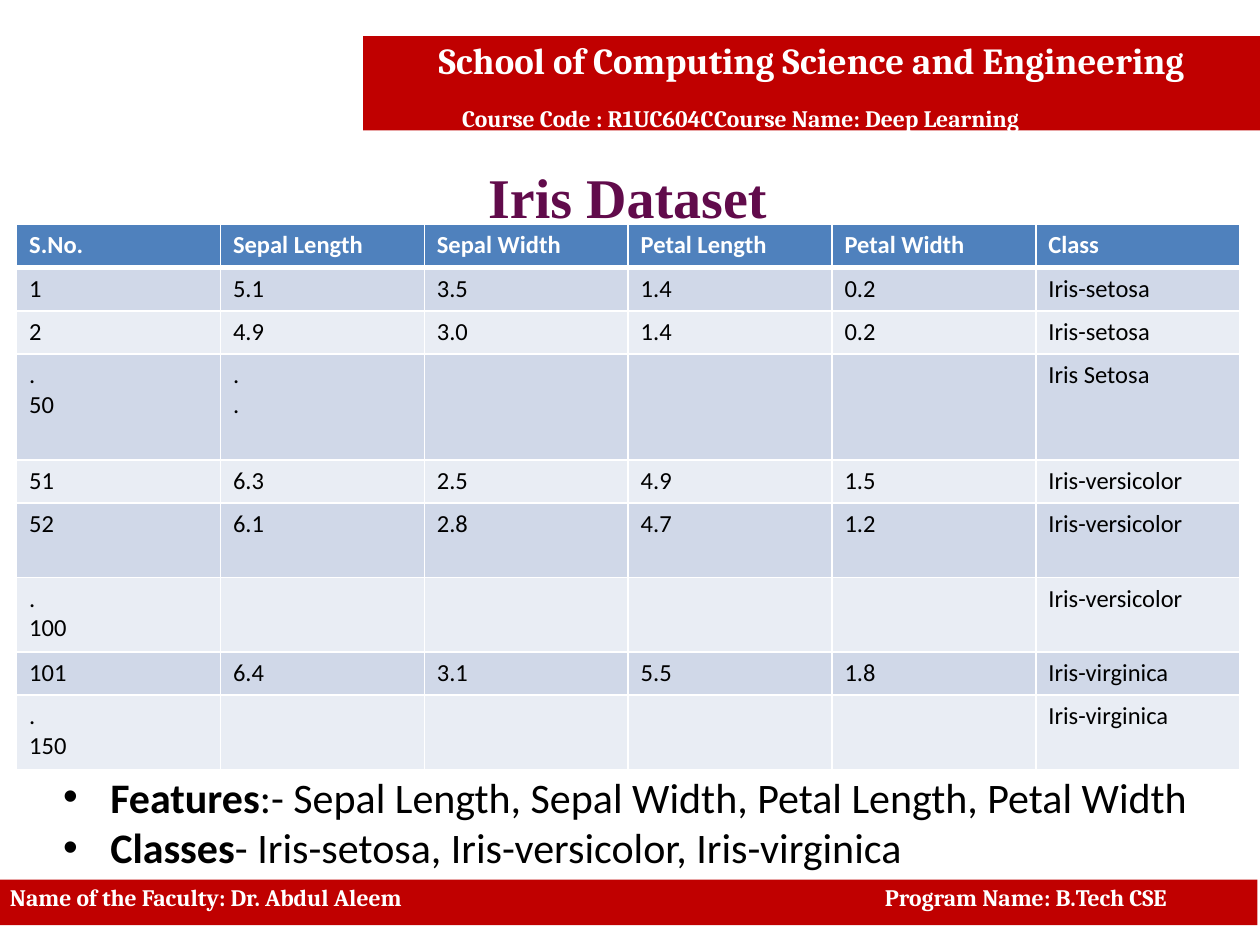
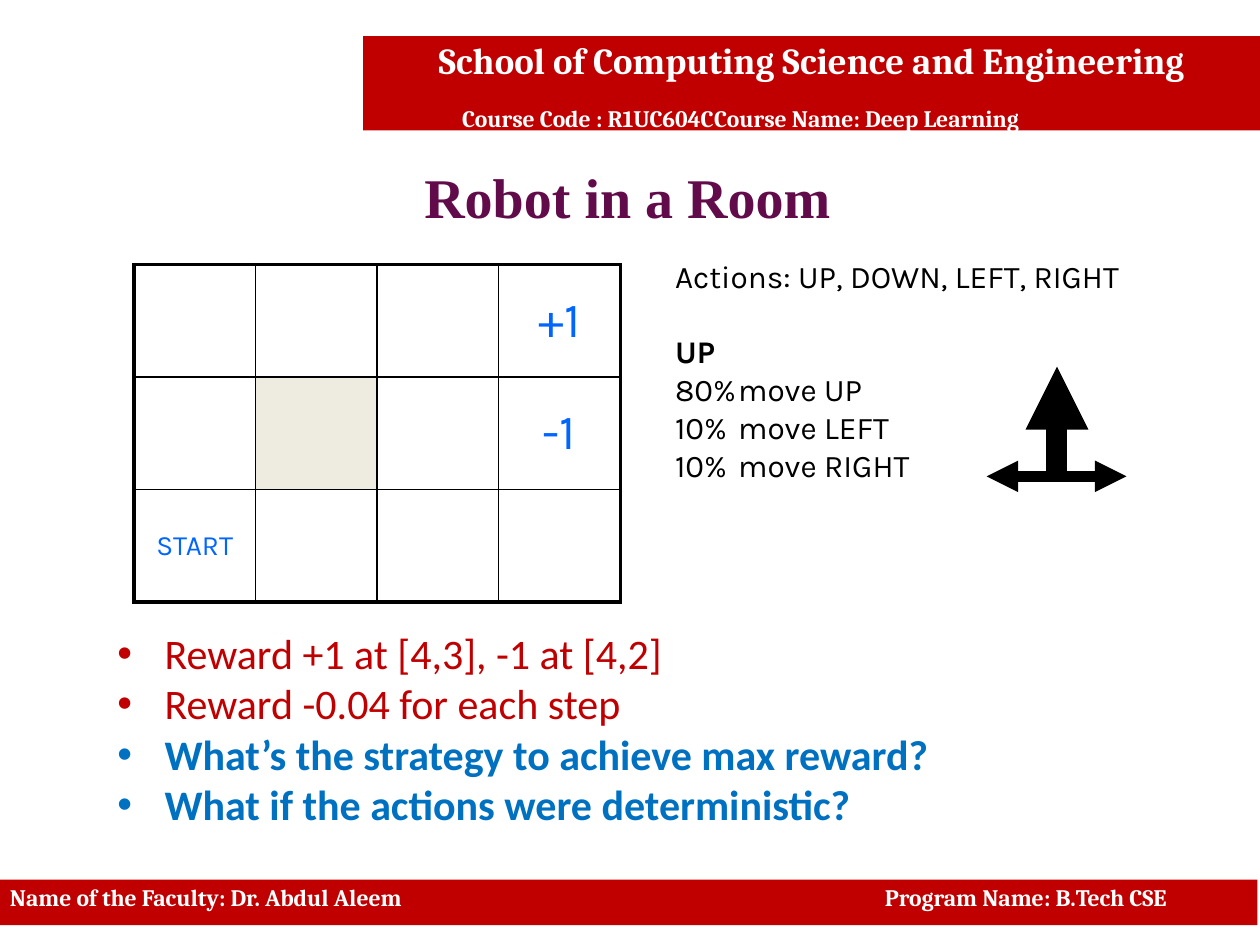
import lxml.etree
import pptx
import pptx.dml.color
import pptx.enum.shapes
import pptx.enum.text
import pptx.oxml.ns
import pptx.util

Pt = pptx.util.Pt
qualified = pptx.oxml.ns.qn

COLORS = {
    "band": "C00000",
    "white": "FFFFFF",
    "black": "000000",
    "title": "610B4B",
    "table_header": "4F81BD",
    "row_dark": "D0D8E8",
    "row_light": "E9EDF4",
    "wall": "EEECE1",
    "reward": "0066FF",
    "question": "0070C0",
}

IRIS_ROWS = [
    ("S.No.", "Sepal Length", "Sepal Width", "Petal Length", "Petal Width", "Class"),
    ("1", "5.1", "3.5", "1.4", "0.2", "Iris-setosa"),
    ("2", "4.9", "3.0", "1.4", "0.2", "Iris-setosa"),
    (".\n50", ".\n.", "", "", "", "Iris Setosa"),
    ("51", "6.3", "2.5", "4.9", "1.5", "Iris-versicolor"),
    ("52", "6.1", "2.8", "4.7", "1.2", "Iris-versicolor"),
    (".\n100", "", "", "", "", "Iris-versicolor"),
    ("101", "6.4", "3.1", "5.5", "1.8", "Iris-virginica"),
    (".\n150", "", "", "", "", "Iris-virginica"),
]
IRIS_HEIGHTS = [24.7, 24.7, 24.7, 60.5, 24.7, 42.5, 42.5, 24.7, 42.5]

ROOM_ROWS = [("", "", "", "+1"), ("", "", "", "-1"), ("START", "", "", "")]
WALL_CELL = (1, 1)


def rgb(name):
    return pptx.dml.color.RGBColor.from_string(COLORS[name])


def format_run(run, size, font, color, bold=False):
    run.font.size = Pt(size)
    run.font.name = font
    run.font.bold = bold
    run.font.color.rgb = rgb(color)


def format_paragraph(paragraph, size, font, color, bold=False):
    for run in paragraph.runs:
        format_run(run, size, font, color, bold)


def place(shape, left, top, width, height):
    shape.left, shape.top = Pt(left), Pt(top)
    shape.width, shape.height = Pt(width), Pt(height)


def add_tab_stop(paragraph, position):
    tabs = lxml.etree.SubElement(paragraph._p.get_or_add_pPr(), qualified("a:tabLst"))
    lxml.etree.SubElement(tabs, qualified("a:tab"), pos=str(Pt(position)), algn="l")


def set_indent(paragraph, margin, indent=0):
    properties = paragraph._p.get_or_add_pPr()
    properties.set("marL", str(Pt(margin)))
    properties.set("indent", str(Pt(indent)))


def add_band(slide, left, top, width, height, text):
    band = slide.shapes.add_shape(
        pptx.enum.shapes.MSO_SHAPE.RECTANGLE, Pt(left), Pt(top), Pt(width), Pt(height)
    )
    band.shadow.inherit = False
    band.fill.solid()
    band.fill.fore_color.rgb = rgb("band")
    band.line.fill.background()
    frame = band.text_frame
    frame.word_wrap = True
    frame.vertical_anchor = pptx.enum.text.MSO_ANCHOR.TOP
    frame.text = text
    for paragraph in frame.paragraphs:
        paragraph.alignment = pptx.enum.text.PP_ALIGN.LEFT
        paragraph.line_spacing = 0.9
        format_paragraph(paragraph, 13.5, "Cambria", "white", True)
    return frame.paragraphs


def add_header(slide):
    school, course = add_band(
        slide, 207.5, 20.7, 512.5, 53.8,
        "School of Computing Science and Engineering\n"
        "Course Code : R1UC604C\tCourse Name: Deep Learning",
    )
    school.alignment = pptx.enum.text.PP_ALIGN.CENTER
    format_paragraph(school, 21, "Cambria", "white", True)
    course.space_before = Pt(14.2)
    set_indent(course, 49.5)
    add_tab_stop(course, 274.5)


def add_footer(slide):
    (credits,) = add_band(
        slide, -1.4, 502.6, 720, 26,
        "Name of the Faculty: Dr. Abdul Aleem\tProgram Name: B.Tech CSE",
    )
    add_tab_stop(credits, 500)


def add_content_slide(presentation, title):
    slide = presentation.slides.add_slide(presentation.slide_layouts[1])
    add_header(slide)
    add_footer(slide)
    heading = slide.shapes.title
    place(heading, 34.6, 67, 648, 90)
    heading.text_frame.text = title
    format_paragraph(
        heading.text_frame.paragraphs[0], 32, "Times New Roman", "title", True
    )
    return slide


def fill_bullets(slide, bounds, bullets):
    body = slide.placeholders[1]
    place(body, *bounds)
    frame = body.text_frame
    frame.auto_size = pptx.enum.text.MSO_AUTO_SIZE.NONE
    for index, (color, parts) in enumerate(bullets):
        paragraph = frame.add_paragraph() if index else frame.paragraphs[0]
        set_indent(paragraph, 27, -27)
        paragraph.space_before = Pt(0)
        for text, bold in parts:
            run = paragraph.add_run()
            run.text = text
            format_run(run, 24, "Calibri", color, bold)


def set_borders(cell, color, widths):
    properties = cell._tc.get_or_add_tcPr()
    for index, (side, width) in enumerate(zip("LRTB", widths)):
        line = lxml.etree.Element(qualified("a:ln" + side), w=str(Pt(width)))
        fill = lxml.etree.SubElement(line, qualified("a:solidFill"))
        lxml.etree.SubElement(fill, qualified("a:srgbClr"), val=COLORS[color])
        properties.insert(index, line)


def add_grid(slide, left, top, column_width, row_heights, rows):
    columns = len(rows[0])
    table = slide.shapes.add_table(
        len(rows), columns, Pt(left), Pt(top),
        Pt(column_width * columns), Pt(sum(row_heights)),
    ).table
    table.first_row = table.horz_banding = False
    for column in table.columns:
        column.width = Pt(column_width)
    for row, height, texts in zip(table.rows, row_heights, rows):
        row.height = Pt(height)
        for cell, text in zip(row.cells, texts):
            cell.text = text
    return table


def add_iris_table(slide):
    table = add_grid(slide, 9.5, 128.2, 116.5, IRIS_HEIGHTS, IRIS_ROWS)
    for row_index, row in enumerate(table.rows):
        is_header = row_index == 0
        fill = "table_header" if is_header else ("row_light", "row_dark")[row_index % 2]
        top = 3 if row_index == 1 else 1
        bottom = 3 if is_header else 1
        for cell in row.cells:
            cell.fill.solid()
            cell.fill.fore_color.rgb = rgb(fill)
            set_borders(cell, "white", (1, 1, top, bottom))
            for paragraph in cell.text_frame.paragraphs:
                color = "white" if is_header else "black"
                format_paragraph(paragraph, 14, "Calibri", color, is_header)


def add_room(slide):
    table = add_grid(slide, 76.5, 151.2, 69.5, [64.3] * len(ROOM_ROWS), ROOM_ROWS)
    last_row, last_column = len(ROOM_ROWS) - 1, len(ROOM_ROWS[0]) - 1
    for row_index, row in enumerate(table.rows):
        for column_index, cell in enumerate(row.cells):
            if (row_index, column_index) == WALL_CELL:
                cell.fill.solid()
                cell.fill.fore_color.rgb = rgb("wall")
            else:
                cell.fill.background()
            outer_edges = (
                column_index == 0, column_index == last_column,
                row_index == 0, row_index == last_row,
            )
            set_borders(cell, "black", [2.25 if edge else 1 for edge in outer_edges])
            cell.vertical_anchor = pptx.enum.text.MSO_ANCHOR.MIDDLE
            paragraph = cell.text_frame.paragraphs[0]
            paragraph.alignment = pptx.enum.text.PP_ALIGN.CENTER
            size = 16 if cell.text == "START" else 28
            format_paragraph(paragraph, size, "Karla", "reward")


def add_actions(slide):
    box = slide.shapes.add_textbox(Pt(378.7), Pt(143.5), Pt(304), Pt(138))
    frame = box.text_frame
    frame.word_wrap = True
    frame.text = (
        "Actions: UP, DOWN, LEFT, RIGHT\nUP\n"
        "80%\tmove UP\n10%\tmove LEFT\n10%\tmove RIGHT"
    )
    for paragraph in frame.paragraphs:
        format_paragraph(paragraph, 18, "Karla", "black", paragraph.text == "UP")
    frame.paragraphs[1].space_before = Pt(21.3)


def add_arrow(slide, start, end, width):
    arrow = slide.shapes.add_connector(
        pptx.enum.shapes.MSO_CONNECTOR.STRAIGHT, *map(Pt, start + end)
    )
    arrow.line.color.rgb = rgb("black")
    arrow.line.width = Pt(width)
    lxml.etree.SubElement(
        arrow.line._get_or_add_ln(), qualified("a:tailEnd"), type="triangle"
    )
    lxml.etree.SubElement(arrow._element.spPr, qualified("a:effectLst"))


def add_move_arrows(slide):
    center, base = 604, 272.2
    add_arrow(slide, (center, base), (center, 209.5), 12)
    add_arrow(slide, (center, base), (643.7, base), 6)
    add_arrow(slide, (609.8, base), (563.8, base), 6)


def main():
    presentation = pptx.Presentation()
    presentation.slide_width, presentation.slide_height = Pt(720), Pt(540)

    iris = add_content_slide(presentation, "Iris Dataset")
    fill_bullets(iris, (28.8, 437, 659.5, 65.5), [
        ("black", [("Features", True),
                   (":- Sepal Length, Sepal Width, Petal Length, Petal Width", False)]),
        ("black", [("Classes", True),
                   ("- Iris-setosa, Iris-versicolor, Iris-virginica", False)]),
    ])
    add_iris_table(iris)

    robot = add_content_slide(presentation, "Robot in a Room")
    fill_bullets(robot, (59.8, 355, 623.5, 124), [
        ("band", [("Reward +1 at [4,3], -1 at [4,2]", False)]),
        ("band", [("Reward -0.04 for each step", False)]),
        ("question", [("What’s the strategy to achieve max reward?", True)]),
        ("question", [("What if the actions were deterministic?", True)]),
    ])
    add_room(robot)
    add_actions(robot)
    add_move_arrows(robot)

    presentation.save("out.pptx")


if __name__ == "__main__":
    main()
